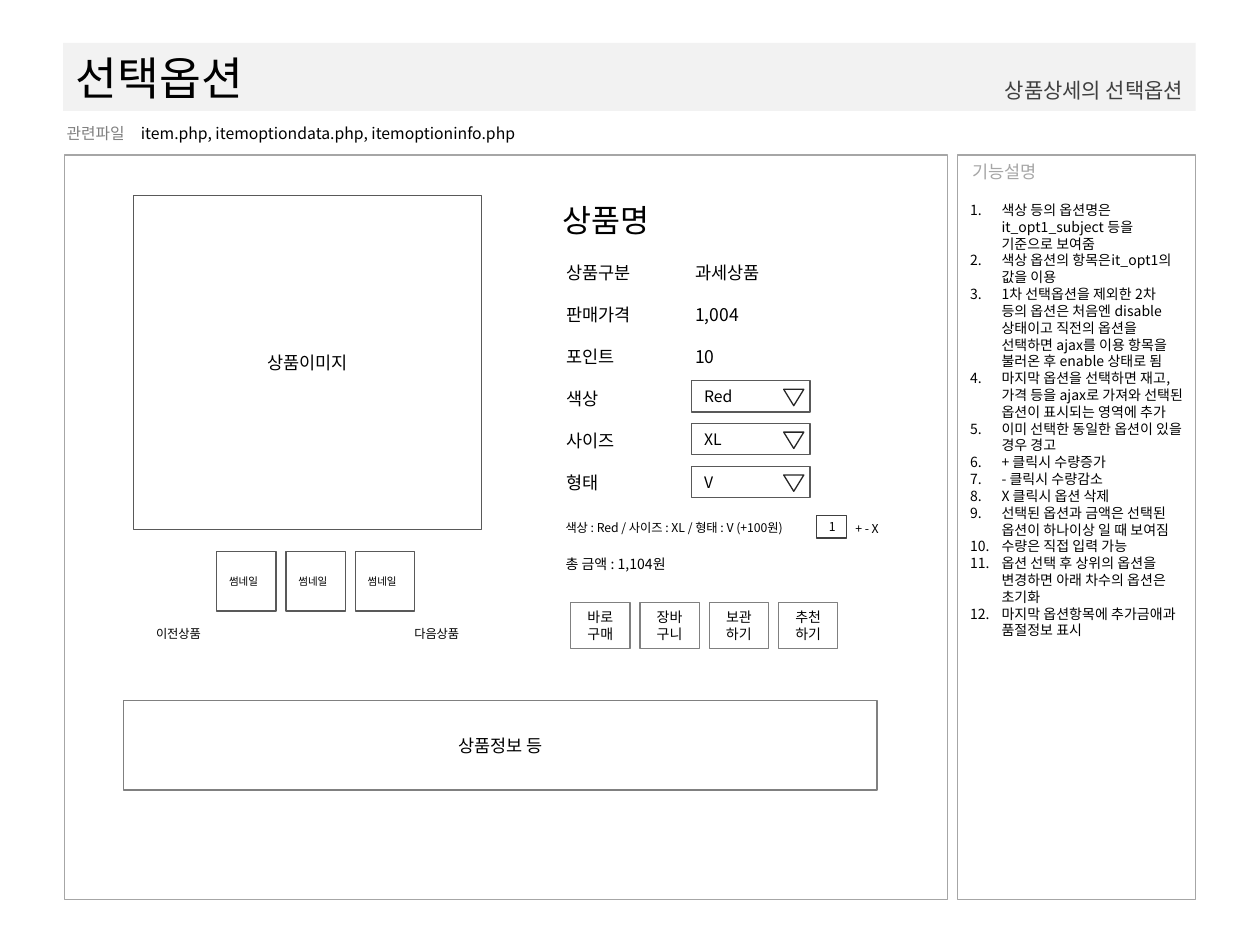
from lxml import etree
from pptx import Presentation
from pptx import util as u
from pptx.dml.color import RGBColor
from pptx.enum import shapes, text
from pptx.oxml.ns import qn

FONT = "Noto Sans CJK KR"
BLACK = RGBColor(0, 0, 0)
INK = RGBColor(0x26, 0x26, 0x26)
DARK = RGBColor(0x40, 0x40, 0x40)
EDGE = RGBColor(0x59, 0x59, 0x59)
GRAY = RGBColor(0x80, 0x80, 0x80)
PALE = RGBColor(0xA6, 0xA6, 0xA6)
BAND = RGBColor(0xF2, 0xF2, 0xF2)
LEFT, MID, RIGHT = text.PP_ALIGN.LEFT, text.PP_ALIGN.CENTER, text.PP_ALIGN.RIGHT
TOP, CENTER = text.MSO_ANCHOR.TOP, text.MSO_ANCHOR.MIDDLE
RECT = shapes.MSO_SHAPE.RECTANGLE
TRIANGLE = shapes.MSO_SHAPE.FLOWCHART_MERGE

NOTES = [
    "색상 등의 옵션명은 it_opt1_subject 등을 기준으로 보여줌",
    "색상 옵션의 항목은it_opt1의 값을 이용",
    "1차 선택옵션을 제외한 2차 등의 옵션은 처음엔 disable 상태이고 "
    "직전의 옵션을 선택하면 ajax를 이용 항목을 불러온 후 enable 상태로 됨",
    "마지막 옵션을 선택하면 재고,가격 등을 ajax로 가져와 "
    "선택된 옵션이 표시되는 영역에 추가",
    "이미 선택한 동일한 옵션이 있을 경우 경고",
    "+ 클릭시 수량증가",
    "- 클릭시 수량감소",
    "X 클릭시 옵션 삭제",
    "선택된 옵션과 금액은 선택된 옵션이 하나이상 일 때 보여짐",
    "수량은 직접 입력 가능",
    "옵션 선택 후 상위의 옵션을 변경하면 아래 차수의 옵션은 초기화",
    "마지막 옵션항목에 추가금애과 품절정보 표시",
]


def write(shape, lines, size=10, color=BLACK, align=LEFT, anchor=TOP,
          wrap=True, gap=0, number=False):
    frame = shape.text_frame
    frame.word_wrap = wrap
    frame.auto_size = text.MSO_AUTO_SIZE.NONE
    frame.vertical_anchor = anchor
    lines = [lines] if isinstance(lines, str) else lines
    for i, line in enumerate(lines):
        par = frame.paragraphs[0] if i == 0 else frame.add_paragraph()
        par.alignment = align
        par.line_spacing = u.Pt(size * 1.2)
        par.space_before = u.Pt(0)
        par.space_after = u.Pt(gap)
        if number:
            props = par._p.get_or_add_pPr()
            props.set("marL", str(u.Inches(0.25)))
            props.set("indent", str(u.Inches(-0.25)))
            etree.SubElement(props, qn("a:buFont"), typeface="+mj-lt")
            etree.SubElement(props, qn("a:buAutoNum"), type="arabicPeriod")
        run = par.add_run()
        run.text = line
        run.font.size = u.Pt(size)
        run.font.name = FONT
        run.font.color.rgb = color
        etree.SubElement(run._r.get_or_add_rPr(), qn("a:ea"), typeface=FONT)


def place(x, y, w, h):
    return [u.Inches(n) for n in (x, y, w, h)]


def label(slide, x, y, w, h, lines, **style):
    write(slide.shapes.add_textbox(*place(x, y, w, h)), lines, **style)


def box(slide, x, y, w, h, lines="", edge=EDGE, kind=RECT, **style):
    shape = slide.shapes.add_shape(kind, *place(x, y, w, h))
    shape.shadow.inherit = False
    shape.fill.background()
    shape.line.color.rgb = edge
    shape.line.width = u.Pt(0.75)
    if lines:
        write(shape, lines, **style)


def header(slide, x, y, w):
    title = slide.shapes.title
    title.left, title.top, title.width, title.height = place(x, y, w, 0.54)
    title.fill.solid()
    title.fill.fore_color.rgb = BAND
    write(title, "선택옵션", size=26, anchor=CENTER)
    label(slide, x + w - 3.31, y + 0.18, 3.31, 0.39, "상품상세의 선택옵션",
          size=12, color=DARK, align=RIGHT, anchor=CENTER)
    label(slide, x - 0.07, y + 0.59, 0.71, 0.25, "관련파일",
          size=9, color=GRAY, wrap=False)
    label(slide, x + 0.52, y + 0.6, w - 0.53, 0.24,
          "item.php, itemoptiondata.php, itemoptioninfo.php",
          size=9, anchor=CENTER)


def gallery(slide, x, y, w):
    box(slide, x, y, w, 2.65, "상품이미지", align=MID, anchor=CENTER)
    for i in range(3):
        box(slide, x + 0.66 + i * 0.55, y + 2.83, 0.47, 0.47, "썸네일",
            size=6, anchor=CENTER)
    for left, name in ((x + 0.08, "이전상품"), (x + w - 0.63, "다음상품")):
        label(slide, left, y + 3.38, 0.61, 0.2, name,
              size=7, anchor=CENTER, wrap=False)


def picker(slide, x, y, name):
    box(slide, x, y, 0.94, 0.25, name, size=9)
    box(slide, x + 0.73, y + 0.07, 0.16, 0.13, edge=INK, kind=TRIANGLE)


def detail(slide, x, y):
    label(slide, x, y, 0.96, 0.4, "상품명", size=18, wrap=False)
    label(slide, x + 0.03, y + 0.48, 0.76, 1.95,
          ["상품구분", "판매가격", "포인트", "색상", "사이즈", "형태"],
          wrap=False, gap=12)
    label(slide, x + 1.05, y + 0.48, 0.76, 0.94,
          ["과세상품", "1,004", "10"], wrap=False, gap=12)
    for i, name in enumerate(("Red", "XL", "V")):
        picker(slide, x + 1.12, y + 1.47 + i * 0.34, name)
    label(slide, x + 0.02, y + 2.53, 2.15, 0.22,
          "색상 : Red / 사이즈 : XL / 형태 : V (+100원)", size=7, wrap=False)
    box(slide, x + 2.11, y + 2.54, 0.24, 0.18, "1", edge=DARK,
        size=7, anchor=CENTER)
    label(slide, x + 2.32, y + 2.54, 0.44, 0.22, "+ - X", size=7, wrap=False)
    label(slide, x + 0.02, y + 2.81, 1.07, 0.24, "총 금액 : 1,104원",
          size=8, wrap=False)
    for i, name in enumerate(("바로구매", "장바구니", "보관하기", "추천하기")):
        box(slide, x + 0.16 + i * 0.55, y + 3.23, 0.47, 0.37, name,
            edge=GRAY, size=8, align=MID, anchor=CENTER)


def screen(slide, x, y, w, h):
    box(slide, x, y, w, h, edge=PALE)
    gallery(slide, x + 0.55, y + 0.32, 2.76)
    detail(slide, x + 3.86, y + 0.32)
    box(slide, x + 0.47, y + 4.33, 5.98, 0.71, "상품정보 등", edge=GRAY,
        align=MID, anchor=CENTER)


def guide(slide, x, y, w, h):
    box(slide, x, y, w, h, edge=PALE)
    label(slide, x + 0.02, y, 0.76, 0.27, "기능설명", color=PALE, wrap=False)
    label(slide, x, y + 0.32, w, 3.87, NOTES, size=8, number=True)


def main():
    deck = Presentation()
    deck.slide_width, deck.slide_height = u.Inches(10), u.Inches(7.5)
    slide = deck.slides.add_slide(deck.slide_layouts[5])
    header(slide, 0.5, 0.34, 8.99)
    screen(slide, 0.51, 1.23, 7.01, 5.91)
    guide(slide, 7.6, 1.23, 1.89, 5.91)
    deck.save("out.pptx")


if __name__ == "__main__":
    main()
